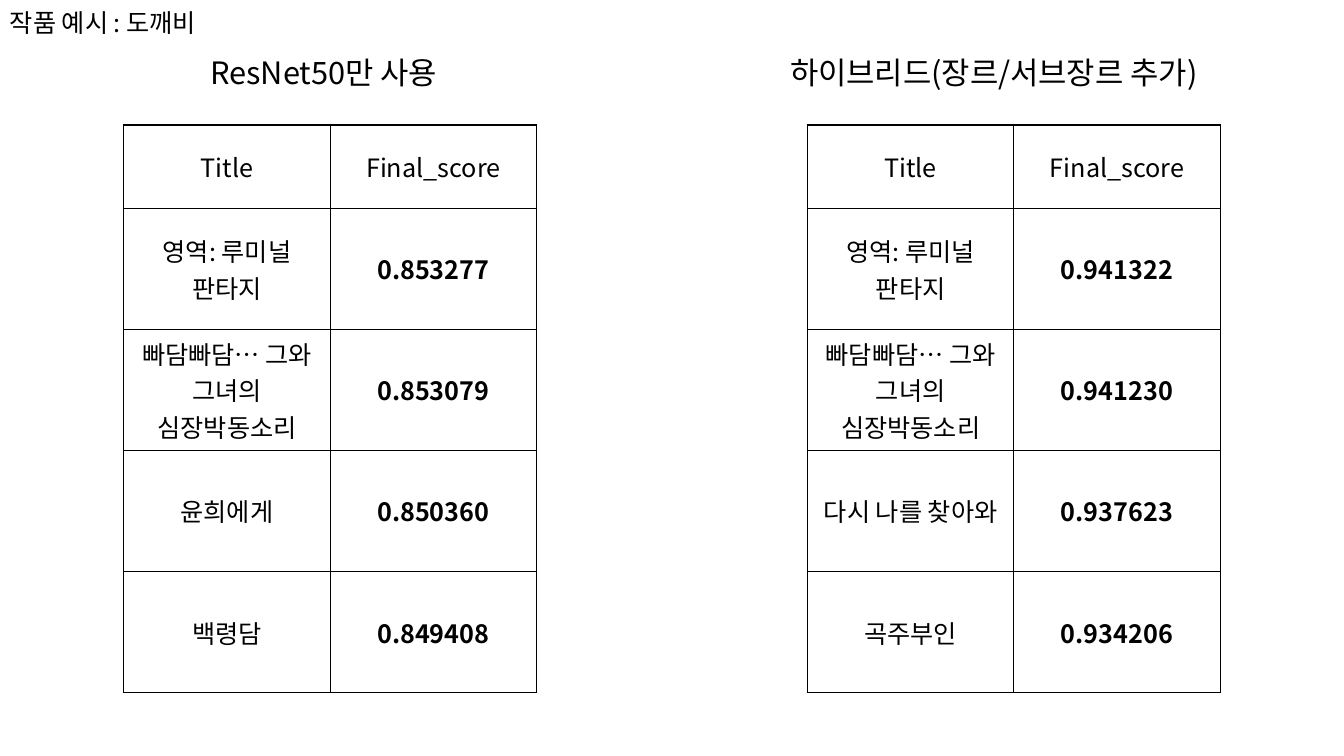
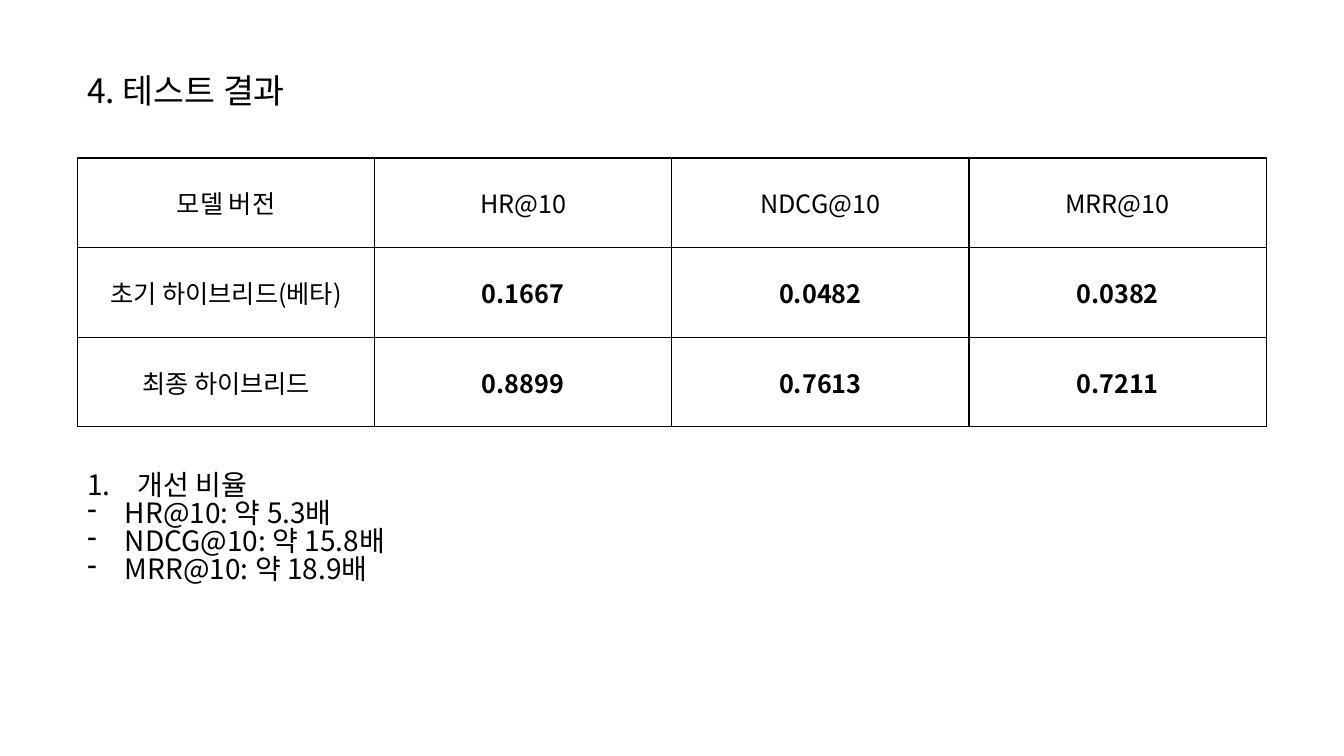
from lxml import etree
from pptx import Presentation, util as u
from pptx.dml.color import RGBColor
from pptx.enum import text
from pptx.oxml import ns

Cm = u.Cm
COLORS = {"text": "000000", "border": "000000", "background": "FFFFFF"}
FONT = "Noto Sans CJK KR"


def add_text(tf, lines, size, **formats):
    """Write one paragraph per line; formats are paragraph attributes."""
    for i, line in enumerate(lines):
        p = tf.paragraphs[0] if i == 0 else tf.add_paragraph()
        r = p.add_run()
        r.text = line
        for name, value in {"size": u.Pt(size), "name": FONT, "bold": False}.items():
            setattr(r.font, name, value)
        r.font.color.rgb = RGBColor.from_string(COLORS["text"])
        etree.SubElement(r.font._element, ns.qn("a:ea"), typeface=FONT)
        for name, value in formats.items():
            setattr(p, name, value)


def add_grid(s, left, top, col_width, row_heights, rows):
    """Add a bordered table; numbers below the header row are bold."""
    n_cols = len(rows[0])
    frame = s.shapes.add_table(len(rows), n_cols, Cm(left), Cm(top),
                               Cm(col_width * n_cols), Cm(sum(row_heights)))
    tbl = frame.table
    tbl.first_row = tbl.horz_banding = False
    for col in tbl.columns:
        col.width = Cm(col_width)
    for i, (height, row) in enumerate(zip(row_heights, rows)):
        tbl.rows[i].height = Cm(height)
        for j, value in enumerate(row):
            cell = tbl.cell(i, j)
            cell.vertical_anchor = text.MSO_ANCHOR.MIDDLE
            add_text(cell.text_frame, [value], 18, alignment=text.PP_ALIGN.CENTER)
            cell.text_frame.paragraphs[0].runs[0].font.bold = i > 0 and j > 0
            tc_pr = cell._tc.get_or_add_tcPr()
            for side in ("lnL", "lnR", "lnT", "lnB"):
                ln = etree.SubElement(tc_pr, ns.qn(f"a:{side}"), w=str(u.Pt(1)))
                fill = etree.SubElement(ln, ns.qn("a:solidFill"))
                etree.SubElement(fill, ns.qn("a:srgbClr"), val=COLORS["border"])
            cell.fill.background()


prs = Presentation()
prs.slide_width, prs.slide_height = Cm(33.87), Cm(19.05)
background = prs.slide_master.background.fill
background.solid()
background.fore_color.rgb = RGBColor.from_string(COLORS["background"])
examples, results = [prs.slides.add_slide(prs.slide_layouts[6]) for _ in range(2)]

# Recommendation examples
SCORE_HEADER = ("Title", "Final_score")
score_tables = [
    (3.12, [("영역: 루미널 판타지", "0.853277"),
            ("빠담빠담… 그와 그녀의 심장박동소리", "0.853079"),
            ("윤희에게", "0.850360"),
            ("백령담", "0.849408")]),
    (20.35, [("영역: 루미널 판타지", "0.941322"),
             ("빠담빠담… 그와 그녀의 심장박동소리", "0.941230"),
             ("다시 나를 찾아와", "0.937623"),
             ("곡주부인", "0.934206")]),
]
for left, scores in score_tables:
    add_grid(examples, left, 3.15, 5.2, [2.1] + [3.05] * 4, [SCORE_HEADER] + scores)

# Test results
add_grid(results, 1.95, 3.98, 7.49, [2.26] * 3, [
    ("모델 버전", "HR@10", "NDCG@10", "MRR@10"),
    ("초기 하이브리드(베타)", "0.1667", "0.0482", "0.0382"),
    ("최종 하이브리드", "0.8899", "0.7613", "0.7211"),
])

headings = [
    (examples, "ResNet50만 사용", 22, (5.05, 1.22, 6.5, 1.2)),
    (examples, "하이브리드(장르/서브장르 추가)", 22, (19.66, 1.22, 11.76, 1.2)),
    (examples, "작품 예시 : 도깨비", 18, (0, 0.05, 5.82, 1.02)),
    (results, "4. 테스트 결과", 24, (1.95, 1.63, 6.05, 1.27)),
]
for s, heading, size, box in headings:
    tf = s.shapes.add_textbox(*map(Cm, box)).text_frame
    tf.word_wrap = False
    tf.auto_size = text.MSO_AUTO_SIZE.SHAPE_TO_FIT_TEXT
    add_text(tf, [heading], size)

# Improvement list
tf = results.shapes.add_textbox(Cm(1.95), Cm(11.81), Cm(8.36), Cm(3.68)).text_frame
tf.word_wrap = True
add_text(tf, ["개선 비율", "HR@10: 약 5.3배", "NDCG@10: 약 15.8배", "MRR@10: 약 18.9배"],
         20, line_spacing=0.83)
for i, p in enumerate(tf.paragraphs):
    indent = Cm(0.95 if i else 1.27)
    p_pr = p._p.get_or_add_pPr()
    p_pr.set("marL", str(indent))
    p_pr.set("indent", str(-indent))
    if i:
        etree.SubElement(p_pr, ns.qn("a:buChar"), char="-")
    else:
        etree.SubElement(p_pr, ns.qn("a:buAutoNum"), type="arabicPeriod")

prs.save("out.pptx")
